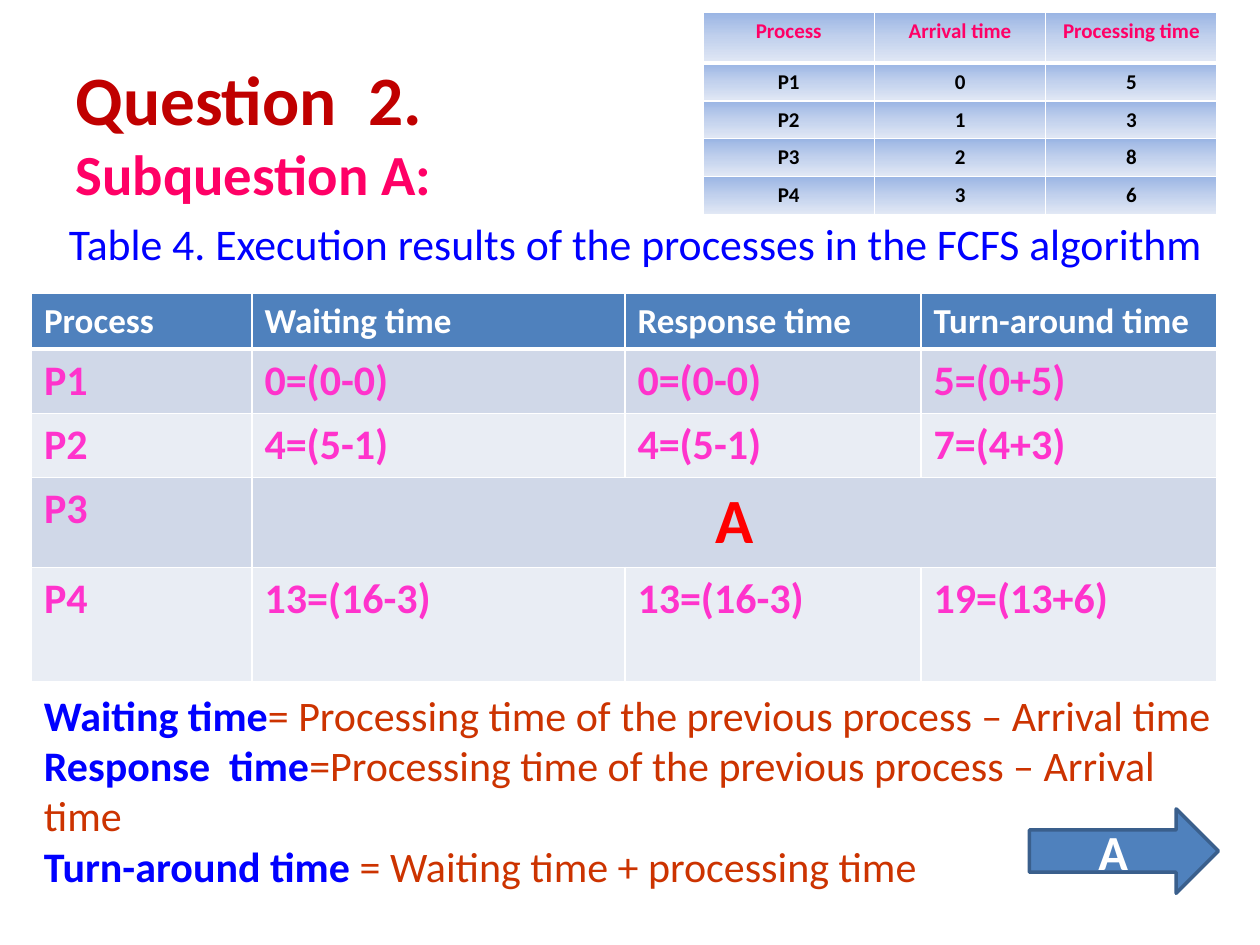
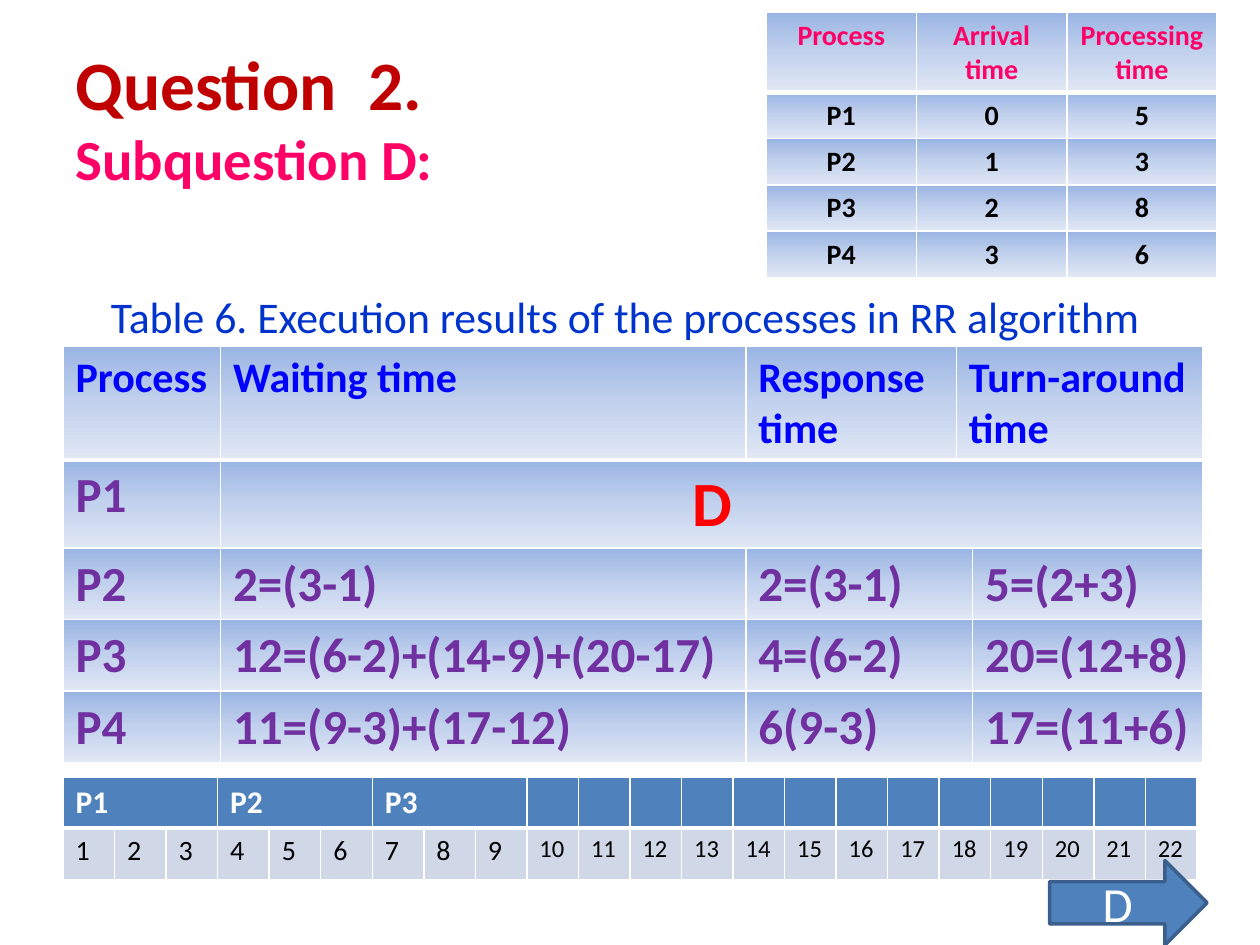
from pptx import Presentation
from pptx.dml.color import RGBColor
from pptx.enum.shapes import MSO_SHAPE
from pptx.enum.text import MSO_ANCHOR, MSO_AUTO_SIZE, PP_ALIGN
from pptx.oxml.ns import qn
from pptx.util import Inches, Pt
from lxml import etree

LEFT, CENTER = PP_ALIGN.LEFT, PP_ALIGN.CENTER
MIDDLE = MSO_ANCHOR.MIDDLE
ARROW = MSO_SHAPE.RIGHT_ARROW
FONT = "Calibri"

WHITE = RGBColor(0xFF, 0xFF, 0xFF)
BLACK = RGBColor(0, 0, 0)
MAROON = RGBColor(0xC0, 0, 0)
ROSE = RGBColor(0xFF, 0, 0x66)
PINK = RGBColor(0xFF, 0x33, 0xCC)
RED = RGBColor(0xFF, 0, 0)
RUST = RGBColor(0xCC, 0x33, 0)
PURPLE = RGBColor(0x70, 0x30, 0xA0)
BLUE = RGBColor(0, 0, 0xFF)
ROYAL = RGBColor(0, 0x33, 0xCC)
STEEL = RGBColor(0x4F, 0x81, 0xBD)
EDGE = RGBColor(0x3A, 0x5F, 0x8C)
BAND = RGBColor(0xD0, 0xD8, 0xE8)
PALE = RGBColor(0xE9, 0xED, 0xF4)
FADE = [RGBColor(0x9A, 0xB5, 0xE4), RGBColor(0xC2, 0xD1, 0xED),
        RGBColor(0xE1, 0xE8, 0xF5)]

# In every table None continues the cell on its left.
JOBS = [
    ["Process", "Arrival time", "Processing time"],
    ["P1", "0", "5"],
    ["P2", "1", "3"],
    ["P3", "2", "8"],
    ["P4", "3", "6"],
]
FCFS = [
    ["Process", "Waiting time", "Response time", "Turn-around time"],
    ["P1", "0=(0-0)", "0=(0-0)", "5=(0+5)"],
    ["P2", "4=(5-1)", "4=(5-1)", "7=(4+3)"],
    ["P3", "A", None, None],
    ["P4", "13=(16-3)", "13=(16-3)", "19=(13+6)"],
]
ROBIN = [
    ["Process", "Waiting time", "Response time", "Turn-around time", None],
    ["P1", "D", None, None, None],
    ["P2", "2=(3-1)", "2=(3-1)", None, "5=(2+3)"],
    ["P3", "12=(6-2)+(14-9)+(20-17)", "4=(6-2)", None, "20=(12+8)"],
    ["P4", "11=(9-3)+(17-12)", "6(9-3)", None, "17=(11+6)"],
]
TICKS = 22
GANTT = [
    ["P1", None, None, "P2", None, None, "P3", None, None] + [""] * (TICKS - 9),
    [str(n + 1) for n in range(TICKS)],
]
RULES = [
    ("Waiting time",
     "= Processing time of the previous process – Arrival time"),
    ("Response  time",
     "=Processing time of the previous process – Arrival time"),
    ("Turn-around time ", "= Waiting time + processing time"),
]


def box(*sides):
    return [Inches(s) for s in sides]


def style(run, size, color, bold=False):
    font = run.font
    font.name, font.size, font.bold = FONT, Pt(size), bold
    font.color.rgb = color


def edge(cell, top, base):
    """White borders, with the top and base widths in points."""
    props = cell._tc.get_or_add_tcPr()
    for tag, width in (("lnL", 1), ("lnR", 1), ("lnT", top), ("lnB", base)):
        line = etree.SubElement(props, qn("a:" + tag), w=str(Pt(width)))
        fill = etree.SubElement(line, qn("a:solidFill"))
        etree.SubElement(fill, qn("a:srgbClr"), val=str(WHITE))


def paint(cell, fill):
    """Fill with one colour, or with a list of colours from top to base."""
    if isinstance(fill, RGBColor):
        cell.fill.solid()
        cell.fill.fore_color.rgb = fill
        return
    grad = etree.SubElement(cell._tc.get_or_add_tcPr(), qn("a:gradFill"))
    stops = etree.SubElement(grad, qn("a:gsLst"))
    for i, color in enumerate(fill):
        stop = etree.SubElement(stops, qn("a:gs"),
                                pos=str(100000 * i // (len(fill) - 1)))
        etree.SubElement(stop, qn("a:srgbClr"), val=str(color))
    etree.SubElement(grad, qn("a:lin"), ang="5400000", scaled="0")


def add_grid(slide, data, left, top, cols, rows, fills, look):
    """look(row, col, text) gives size, colour, bold and alignment."""
    frame = slide.shapes.add_table(
        len(rows), len(cols), *box(left, top, sum(cols), sum(rows)))
    table = frame.table
    table.horz_banding = False
    for col, width in zip(table.columns, cols):
        col.width = Inches(width)
    for row, height in zip(table.rows, rows):
        row.height = Inches(height)
    for r, line in enumerate(data):
        for c, text in enumerate(line):
            cell = table.cell(r, c)
            edge(cell, 3 if r == 1 else 1, 3 if r == 0 else 1)
            paint(cell, fills[r])
            if not text:
                continue
            end = c
            while end + 1 < len(line) and line[end + 1] is None:
                end += 1
            if end > c:
                cell.merge(table.cell(r, end))
            size, color, bold, align = look(r, c, text)
            para = cell.text_frame.paragraphs[0]
            para.text, para.alignment = text, align
            style(para.runs[0], size, color, bold)


def add_jobs(slide, left, width, rows, size):
    def look(r, c, text):
        return size, BLACK if r else ROSE, True, CENTER
    add_grid(slide, JOBS, left, 0.1, [width / 3] * 3, rows, [FADE] * 5, look)


def result_look(head, body, mark):
    """Look of a results table: head and body are (size, colour)."""
    def look(r, c, text):
        if text == mark:
            return 36, RED, True, CENTER
        return *(body if r else head), True, LEFT
    return look


def gantt_look(r, c, text):
    if r == 0:
        return 18, WHITE, True, LEFT
    return 16 if len(text) == 1 else 14, BLACK, False, LEFT


def add_title(slide, mark, place):
    title = slide.shapes.title
    title.left, title.top, title.width, title.height = box(*place)
    frame = title.text_frame
    frame.text = f"Question  2.\nSubquestion {mark}:"
    frame.auto_size = MSO_AUTO_SIZE.NONE
    frame.vertical_anchor = MIDDLE
    for para, size, color in zip(frame.paragraphs, (39.6, 32.4), (MAROON, ROSE)):
        para.alignment = LEFT
        style(para.runs[0], size, color, True)


def add_text(slide, place):
    frame = slide.shapes.add_textbox(*box(*place)).text_frame
    frame.word_wrap = True
    return frame


def add_caption(slide, text, place, color):
    para = add_text(slide, place).paragraphs[0]
    para.text, para.alignment = text, CENTER
    style(para.runs[0], 25, color)


def add_rules(slide, place):
    frame = add_text(slide, place)
    frame.text = "\n".join(term for term, _ in RULES)
    for para, (_, rule) in zip(frame.paragraphs, RULES):
        style(para.runs[0], 24, BLUE, True)
        run = para.add_run()
        run.text = rule
        style(run, 24, RUST)


def add_arrow(slide, mark, place, bold):
    arrow = slide.shapes.add_shape(ARROW, *box(*place))
    arrow.shadow.inherit = False
    arrow.fill.solid()
    arrow.fill.fore_color.rgb = STEEL
    arrow.line.color.rgb = EDGE
    arrow.line.width = Pt(2)
    frame = arrow.text_frame
    frame.text, frame.vertical_anchor = mark, MIDDLE
    frame.paragraphs[0].alignment = CENTER
    style(frame.paragraphs[0].runs[0], 28, WHITE, bold)


def build_fcfs(slide):
    add_title(slide, "A", (0.5, 0.42, 9, 1.25))
    add_grid(slide, FCFS, 0.25, 2.33, [1.75, 2.96, 2.35, 2.35],
             [0.43, 0.51, 0.51, 0.71, 0.91], [STEEL, BAND, PALE, BAND, PALE],
             result_look((20, WHITE), (24, PINK), "A"))
    add_caption(slide, "Table 4. Execution results of the processes in the "
                "FCFS algorithm", (0.25, 1.67, 9.58, 0.52), BLUE)
    add_rules(slide, (0.25, 5.42, 9.58, 1.72))
    add_arrow(slide, "A", (8.17, 6.42, 1.5, 0.67), True)
    add_jobs(slide, 5.58, 4.08, [0.4] + [0.3] * 4, 12)


def build_robin(slide):
    add_title(slide, "D", (0.5, 0.26, 9.08, 1.33))
    add_caption(slide, "Table 6. Execution results of the processes in RR "
                "algorithm", (0.42, 2.25, 9.08, 0.52), ROYAL)
    add_grid(slide, ROBIN, 0.5, 2.75, [1.25, 4.17, 1.67, 0.13, 1.83],
             [0.83, 0.63] + [0.51] * 3, [FADE] * 5,
             result_look((24, BLUE), (28, PURPLE), "D"))
    add_grid(slide, GANTT, 0.5, 6.17, [9 / TICKS] * TICKS, [0.4, 0.41],
             [STEEL, BAND], gantt_look)
    add_jobs(slide, 6.08, 3.58, [0.63] + [0.36] * 4, 16)
    add_arrow(slide, "D", (8.33, 6.83, 1.25, 0.67), False)


def main():
    deck = Presentation()
    deck.slide_width, deck.slide_height = box(10, 7.5)
    for build in (build_fcfs, build_robin):
        build(deck.slides.add_slide(deck.slide_layouts[5]))
    deck.save("out.pptx")


if __name__ == "__main__":
    main()
